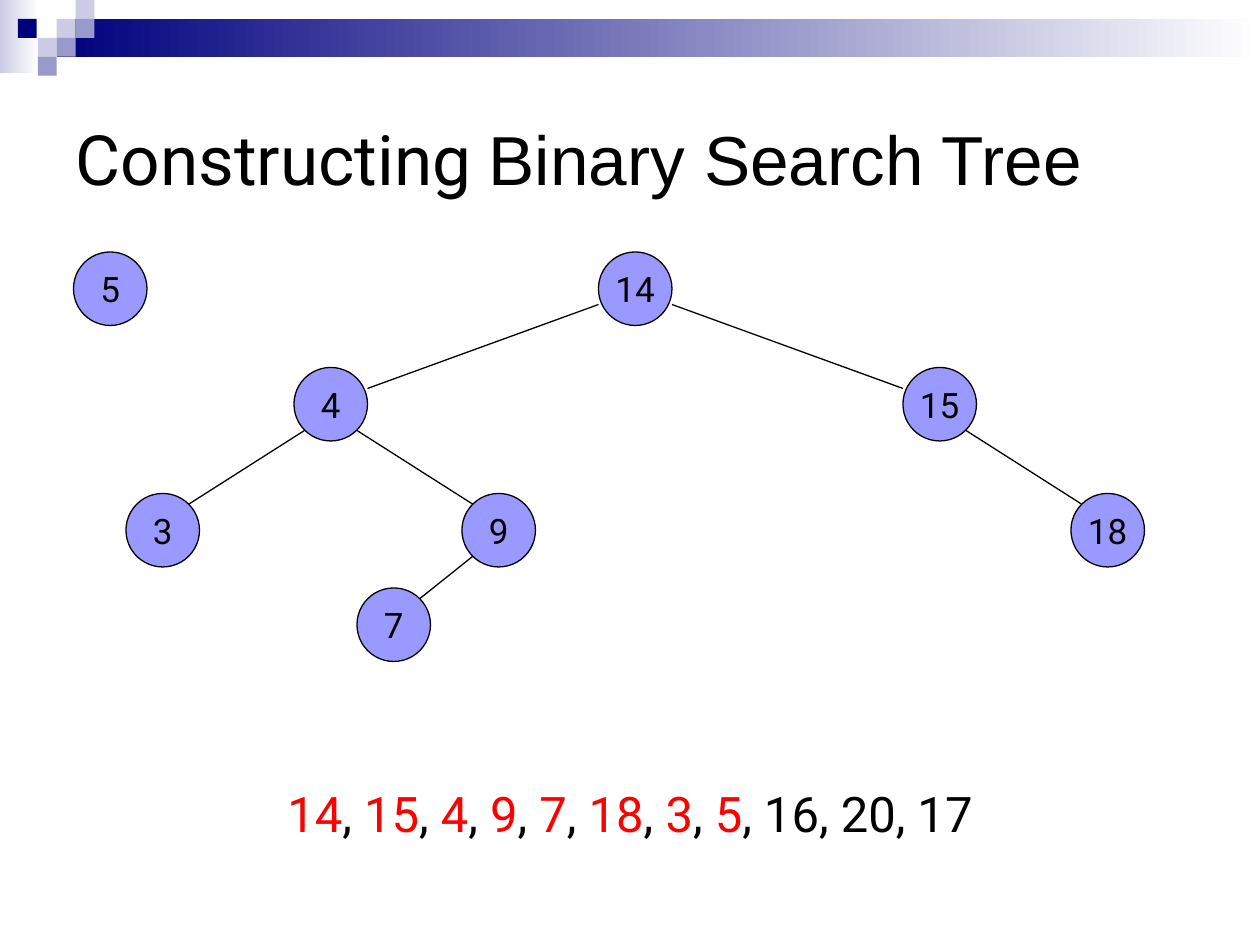
from dataclasses import dataclass

from lxml import etree
from pptx import Presentation
from pptx.dml.color import RGBColor
from pptx.enum.shapes import MSO_CONNECTOR, MSO_SHAPE
from pptx.enum.text import MSO_ANCHOR, MSO_AUTO_SIZE, PP_ALIGN
from pptx.oxml.ns import qn
from pptx.util import Emu, Pt

RECTANGLE, OVAL = MSO_SHAPE.RECTANGLE, MSO_SHAPE.OVAL
STRAIGHT = MSO_CONNECTOR.STRAIGHT
MIDDLE, TOP = MSO_ANCHOR.MIDDLE, MSO_ANCHOR.TOP
LEFT, CENTER = PP_ALIGN.LEFT, PP_ALIGN.CENTER
NO_AUTOFIT = MSO_AUTO_SIZE.NONE

EMU_PER_PX = 7620  # 120 px to the inch
DIAMETER = 70
TILE = 18


@dataclass(frozen=True)
class Theme:
    ink: RGBColor = RGBColor(0x00, 0x00, 0x00)
    paper: RGBColor = RGBColor(0xFF, 0xFF, 0xFF)
    inserted: RGBColor = RGBColor(0xFF, 0x00, 0x00)
    node: RGBColor = RGBColor(0x99, 0x99, 0xFF)
    navy: RGBColor = RGBColor(0x00, 0x00, 0x7D)
    mid: RGBColor = RGBColor(0x99, 0x99, 0xCC)
    pale: RGBColor = RGBColor(0xCC, 0xCC, 0xE6)
    font: str = "Roboto"
    alternate_font: str = "Arial"
    title_size: Pt = Pt(39.6)
    sequence_size: Pt = Pt(28)
    node_size: Pt = Pt(20)
    line_width: Pt = Pt(0.75)


@dataclass(frozen=True)
class Node:
    key: int
    left: int
    top: int


@dataclass(frozen=True)
class Tile:
    left: int
    top: int
    color: RGBColor


THEME = Theme()

NODES = [
    Node(14, 570, 240),
    Node(15, 860, 350),
    Node(4, 280, 350),
    Node(9, 440, 470),
    Node(7, 340, 560),
    Node(18, 1020, 470),
    Node(3, 120, 470),
    Node(5, 70, 240),
]
EDGES = [(14, 15), (14, 4), (4, 9), (9, 7), (15, 18), (4, 3)]
SEQUENCE = [14, 15, 4, 9, 7, 18, 3, 5, 16, 20, 17]

TILES = [
    Tile(54, 18, THEME.pale),
    Tile(72, 0, THEME.pale),
    Tile(72, 18, THEME.mid),
    Tile(36, 36, THEME.pale),
    Tile(17, 18, THEME.navy),
    Tile(54, 36, THEME.mid),
    Tile(36, 54, THEME.mid),
]


def px(length: int) -> Emu:
    return Emu(length * EMU_PER_PX)


def box(left: int, top: int, width: int, height: int) -> tuple[Emu, ...]:
    return px(left), px(top), px(width), px(height)


def add_block(slide, area: tuple[Emu, ...], color: RGBColor, fade: bool = False) -> None:
    """Draw an unlined rectangle, optionally fading to paper on the right."""
    block = slide.shapes.add_shape(RECTANGLE, *area)
    block.shadow.inherit = False
    block.line.fill.background()
    if fade:
        block.fill.gradient()
        block.fill.gradient_angle = 0
        for stop, stop_color in zip(block.fill.gradient_stops, (color, THEME.paper)):
            stop.color.rgb = stop_color
    else:
        block.fill.solid()
        block.fill.fore_color.rgb = color


def add_header(slide) -> None:
    add_block(slide, box(0, 0, 37, 70), THEME.pale, fade=True)
    add_block(slide, box(54, 18, 1146, 36), THEME.navy, fade=True)
    for tile in TILES:
        add_block(slide, box(tile.left, tile.top, TILE, TILE), tile.color)


def add_title(slide) -> None:
    title = slide.shapes.title
    title.left, title.top, title.width, title.height = box(60, 60, 1080, 180)
    frame = title.text_frame
    frame.auto_size = NO_AUTOFIT
    frame.vertical_anchor = MIDDLE
    paragraph = frame.paragraphs[0]
    paragraph.alignment = LEFT
    paragraph.font.size = THEME.title_size
    paragraph.font.color.rgb = THEME.ink
    for text, font in (
        ("Constructing ", THEME.font),
        ("Binary Search Tree", THEME.alternate_font),
    ):
        run = paragraph.add_run()
        run.text = text
        run.font.name = font


def add_sequence(slide) -> None:
    """List the keys in insertion order, marking those already drawn."""
    frame = slide.shapes.add_textbox(*box(60, 740, 1080, 90)).text_frame
    frame.word_wrap = True
    frame.vertical_anchor = TOP
    paragraph = frame.paragraphs[0]
    paragraph.alignment = CENTER
    paragraph.font.name = THEME.font
    paragraph.font.size = THEME.sequence_size
    drawn = {node.key for node in NODES}
    for index, key in enumerate(SEQUENCE):
        if index:
            separator = paragraph.add_run()
            separator.text = ", "
            separator.font.color.rgb = THEME.ink
        number = paragraph.add_run()
        number.text = str(key)
        number.font.color.rgb = THEME.inserted if key in drawn else THEME.ink


def add_node(slide, node: Node) -> None:
    circle = slide.shapes.add_shape(OVAL, *box(node.left, node.top, DIAMETER, DIAMETER))
    circle.shadow.inherit = False
    circle.fill.solid()
    circle.fill.fore_color.rgb = THEME.node
    circle.line.color.rgb = THEME.ink
    circle.line.width = THEME.line_width
    frame = circle.text_frame
    frame.word_wrap = False
    frame.vertical_anchor = MIDDLE
    frame.margin_left = frame.margin_right = frame.margin_top = frame.margin_bottom = 0
    paragraph = frame.paragraphs[0]
    paragraph.text = str(node.key)
    paragraph.alignment = CENTER
    paragraph.font.name = THEME.font
    paragraph.font.size = THEME.node_size
    paragraph.font.color.rgb = THEME.ink


def add_edge(slide, parent: Node, child: Node) -> None:
    """Join facing sides of distant nodes, or facing corners of near ones."""
    is_wide = abs(child.left - parent.left) > 200
    inset, parent_drop, child_drop = (0, 50, 20) if is_wide else (10, 60, 10)
    near_left, near_right = inset, DIAMETER - inset
    if child.left > parent.left:
        start, end = parent.left + near_right, child.left + near_left
    else:
        start, end = parent.left + near_left, child.left + near_right
    edge = slide.shapes.add_connector(
        STRAIGHT, px(start), px(parent.top + parent_drop), px(end), px(child.top + child_drop)
    )
    edge.line.color.rgb = THEME.ink
    edge.line.width = THEME.line_width
    etree.SubElement(edge._element.spPr, qn("a:effectLst"))


def main() -> None:
    presentation = Presentation()
    presentation.slide_width, presentation.slide_height = px(1200), px(900)
    slide = presentation.slides.add_slide(presentation.slide_layouts.get_by_name("Title Only"))
    add_header(slide)
    add_title(slide)
    add_sequence(slide)
    for node in NODES:
        add_node(slide, node)
    by_key = {node.key: node for node in NODES}
    for parent, child in EDGES:
        add_edge(slide, by_key[parent], by_key[child])
    presentation.save("out.pptx")


if __name__ == "__main__":
    main()
